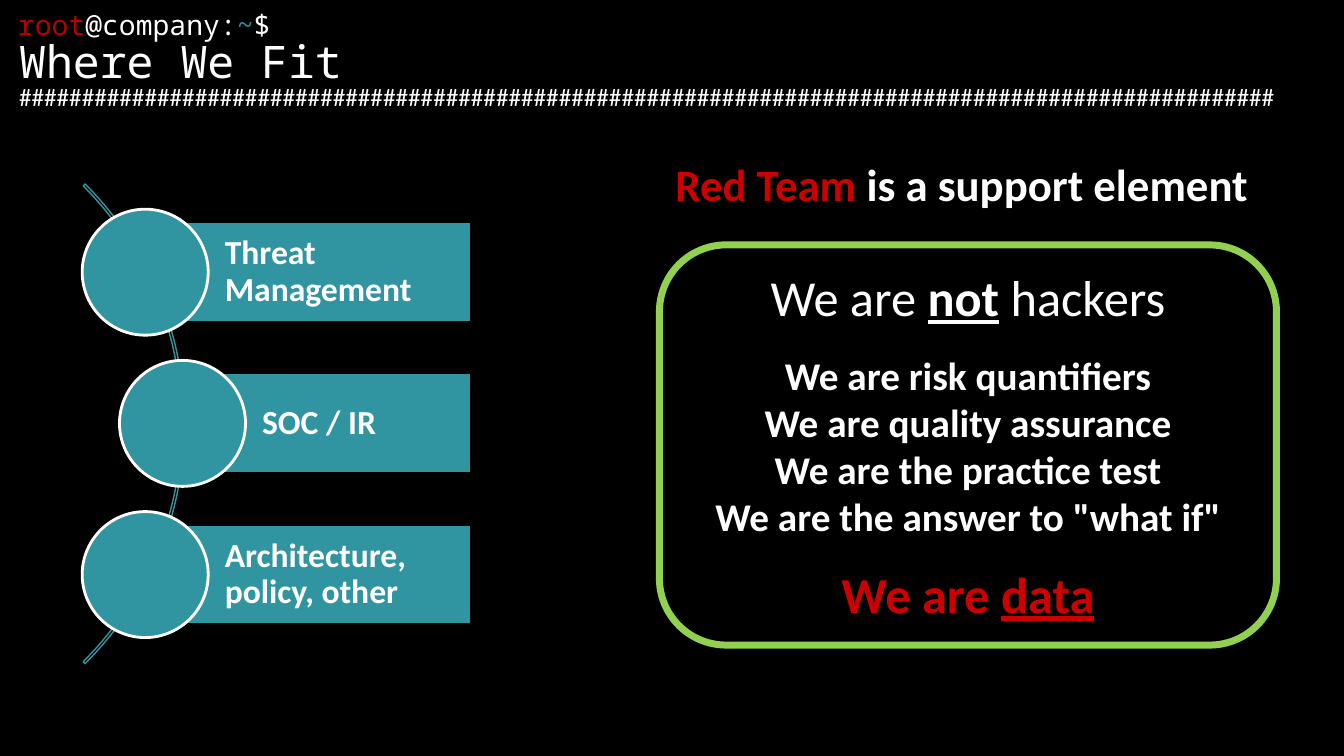
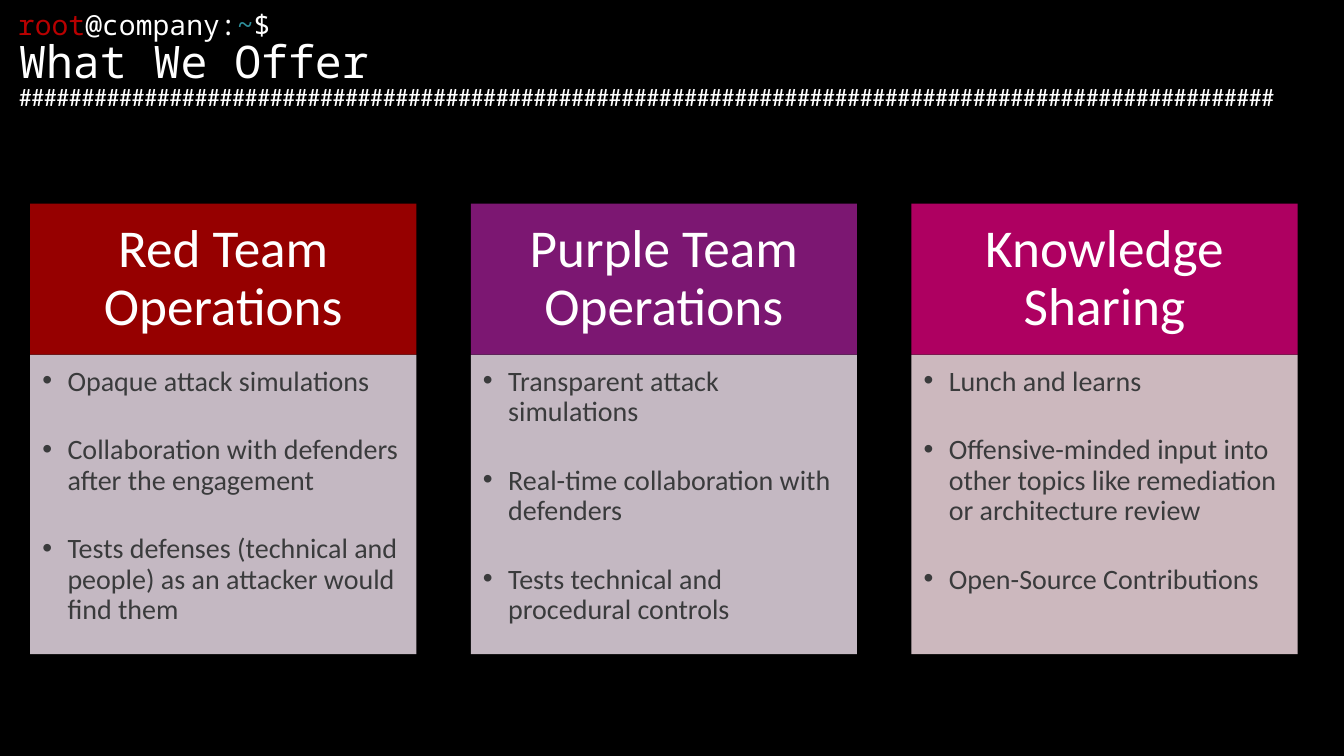
from dataclasses import dataclass

from lxml import etree
from pptx import Presentation
from pptx.dml.color import RGBColor
from pptx.enum.shapes import MSO_SHAPE
from pptx.enum.text import MSO_ANCHOR, MSO_AUTO_SIZE, PP_ALIGN
from pptx.oxml.ns import qn
from pptx.util import Inches, Pt

RECTANGLE = MSO_SHAPE.RECTANGLE
ROUNDED = MSO_SHAPE.ROUNDED_RECTANGLE
OVAL = MSO_SHAPE.OVAL
BLOCK_ARC = MSO_SHAPE.BLOCK_ARC
TOP, MIDDLE = MSO_ANCHOR.TOP, MSO_ANCHOR.MIDDLE
LEFT, CENTER = PP_ALIGN.LEFT, PP_ALIGN.CENTER
TITLE_ONLY = 5


@dataclass(frozen=True)
class Theme:
    background: str = "000000"
    white: str = "FFFFFF"
    prompt_red: str = "B80000"
    prompt_teal: str = "2F8F9B"
    red: str = "CC0000"
    teal: str = "3194A1"
    arc: str = "39939F"
    green: str = "92D050"
    card_text: str = "3A3B3C"
    body_font: str = "Calibri"
    mono_font: str = "Noto Sans Mono"
    rule_size: int = 18
    small_size: int = 20
    label_size: int = 24
    claim_size: int = 28
    title_size: int = 32
    statement_size: int = 36
    card_title_size: int = 38


THEME = Theme()

TEAMS = [
    (1.44, "Threat Management"),
    (1.81, "SOC / IR"),
    (1.44, "Architecture, policy, other"),
]

CLAIMS = [
    "We are risk quantifiers",
    "We are quality assurance",
    "We are the practice test",
    'We are the answer to "what if"',
]

CARDS = [
    ("Red Team Operations", "960000", "C4B8C2", [
        "Opaque attack simulations",
        "Collaboration with defenders after the engagement",
        "Tests defenses (technical and people) as an attacker would find them",
    ]),
    ("Purple Team Operations", "7C1772", "C4B8C2", [
        "Transparent attack simulations",
        "Real-time collaboration with defenders",
        "Tests technical and procedural controls",
    ]),
    ("Knowledge Sharing", "AE0061", "CCB8BE", [
        "Lunch and learns",
        "Offensive-minded input into other topics like remediation or architecture review",
        "Open-Source Contributions",
    ]),
]


def rgb(value):
    return RGBColor.from_string(value)


def set_frame(shape, anchor=TOP, insets=(0.1, 0.05, 0.1, 0.05)):
    frame = shape.text_frame
    frame.word_wrap = True
    frame.auto_size = MSO_AUTO_SIZE.NONE
    frame.vertical_anchor = anchor
    left, top, right, bottom = insets
    frame.margin_left, frame.margin_top = Inches(left), Inches(top)
    frame.margin_right, frame.margin_bottom = Inches(right), Inches(bottom)
    return frame


def add_bullet(paragraph):
    properties = paragraph._p.get_or_add_pPr()
    properties.set("marL", str(Inches(0.25)))
    properties.set("indent", str(-Inches(0.25)))
    etree.SubElement(properties, qn("a:buFont")).set("typeface", "Arial")
    etree.SubElement(properties, qn("a:buChar")).set("char", "•")


def write(paragraph, runs, size, color=THEME.white, name=THEME.body_font,
          bold=False, align=LEFT, spacing=1.0, before=0):
    paragraph.alignment = align
    paragraph.line_spacing = spacing
    paragraph.space_before = Pt(before)
    font = paragraph.font
    font.name, font.size, font.bold = name, Pt(size), bold
    font.color.rgb = rgb(color)
    if isinstance(runs, str):
        runs = [(runs, {})]
    for text, style in runs:
        run = paragraph.add_run()
        run.text = text
        if "color" in style:
            run.font.color.rgb = rgb(style["color"])
        if "bold" in style:
            run.font.bold = style["bold"]
        if "underline" in style:
            run.font.underline = style["underline"]


def next_paragraph(frame, index):
    return frame.add_paragraph() if index else frame.paragraphs[0]


def add_text(slide, box, runs, size, anchor=TOP, insets=(0.1, 0.05, 0.1, 0.05), **style):
    shape = slide.shapes.add_textbox(*map(Inches, box))
    write(set_frame(shape, anchor, insets).paragraphs[0], runs, size, **style)


def add_shape(slide, kind, box, fill=None, line=None, line_width=1):
    shape = slide.shapes.add_shape(kind, *map(Inches, box))
    shape.shadow.inherit = False
    if fill:
        shape.fill.solid()
        shape.fill.fore_color.rgb = rgb(fill)
    else:
        shape.fill.background()
    if line:
        shape.line.color.rgb = rgb(line)
        shape.line.width = Pt(line_width)
    else:
        shape.line.fill.background()
    return shape


def add_terminal_slide(presentation, title):
    slide = presentation.slides.add_slide(presentation.slide_layouts[TITLE_ONLY])
    prompt = [
        ("root", {"color": THEME.prompt_red}),
        ("@company:", {}),
        ("~", {"color": THEME.prompt_teal}),
        ("$", {}),
    ]
    add_text(slide, (0.08, 0.05, 2.82, 0.42), prompt, THEME.small_size,
             anchor=MIDDLE, name=THEME.mono_font, spacing=0.9)
    heading = slide.shapes.title
    heading.left, heading.top = Inches(0.09), Inches(0.34)
    heading.width, heading.height = Inches(6.32), Inches(0.58)
    write(set_frame(heading, MIDDLE).paragraphs[0], title, THEME.title_size,
          name=THEME.mono_font, spacing=0.9)
    add_text(slide, (0.09, 0.76, 12.99, 0.4), "#" * 100, THEME.rule_size)
    return slide


def add_team(slide, left, top, label):
    height, diameter = 1, 1.25
    bar = add_shape(slide, RECTANGLE, (left, top, 4.68 - left, height),
                    THEME.teal, THEME.background, 2)
    frame = set_frame(bar, MIDDLE, (0.79, 0.07, 0.07, 0.07))
    write(frame.paragraphs[0], label, THEME.label_size, bold=True, spacing=0.9)
    circle_top = top + (height - diameter) / 2
    add_shape(slide, OVAL, (left - diameter / 2, circle_top, diameter, diameter),
              THEME.teal, THEME.white, 2)


def add_statement_panel(slide):
    panel = add_shape(slide, ROUNDED, (6.54, 2.43, 6.12, 3.97),
                      line=THEME.green, line_width=5)
    frame = set_frame(panel, MIDDLE)
    denial = [("We are ", {}), ("not", {"bold": True, "underline": True}), (" hackers", {})]
    write(frame.paragraphs[0], denial, THEME.statement_size, align=CENTER)
    for index, claim in enumerate(CLAIMS):
        write(frame.add_paragraph(), claim, THEME.claim_size, bold=True,
              align=CENTER, before=0 if index else 17)
    conclusion = [("We are ", {}), ("data", {"underline": True})]
    write(frame.add_paragraph(), conclusion, THEME.statement_size, color=THEME.red,
          bold=True, align=CENTER, before=17)


def add_card(slide, left, title, header_color, body_color, items):
    top, width, header_height, body_height = 2.02, 3.83, 1.5, 2.97
    header = add_shape(slide, RECTANGLE, (left, top, width, header_height), header_color)
    frame = set_frame(header, MIDDLE, (0.3, 0.17, 0.3, 0.17))
    write(frame.paragraphs[0], title, THEME.card_title_size, align=CENTER, spacing=0.9)
    body = add_shape(slide, RECTANGLE, (left, top + header_height, width, body_height), body_color)
    frame = set_frame(body, TOP, (0.12, 0.12, 0.16, 0.17))
    for index, item in enumerate(items):
        paragraph = next_paragraph(frame, index)
        add_bullet(paragraph)
        write(paragraph, item, THEME.small_size, color=THEME.card_text,
              spacing=0.9, before=27.5 if index else 0)


def build_where_we_fit(presentation):
    slide = add_terminal_slide(presentation, "Where We Fit")
    support = [("Red Team ", {"color": THEME.red}), ("is a support element", {})]
    add_text(slide, (6.48, 1.55, 6.12, 0.76), support, THEME.title_size,
             insets=(0, 0, 0, 0), bold=True, align=CENTER)
    arc = add_shape(slide, BLOCK_ARC, (-4.9, 0.84, 6.73, 6.73), line=THEME.arc)
    for index, value in enumerate((189, 27, 0.004)):
        arc.adjustments[index] = value
    for index, (left, label) in enumerate(TEAMS):
        add_team(slide, left, 2.2 + 1.5 * index, label)
    add_statement_panel(slide)


def build_what_we_offer(presentation):
    slide = add_terminal_slide(presentation, "What We Offer")
    for index, card in enumerate(CARDS):
        add_card(slide, 0.3 + 4.37 * index, *card)


def main():
    presentation = Presentation()
    presentation.slide_width = Inches(13.33)
    presentation.slide_height = Inches(7.5)
    background = presentation.slide_master.background.fill
    background.solid()
    background.fore_color.rgb = rgb(THEME.background)
    build_where_we_fit(presentation)
    build_what_we_offer(presentation)
    presentation.save("out.pptx")


if __name__ == "__main__":
    main()
